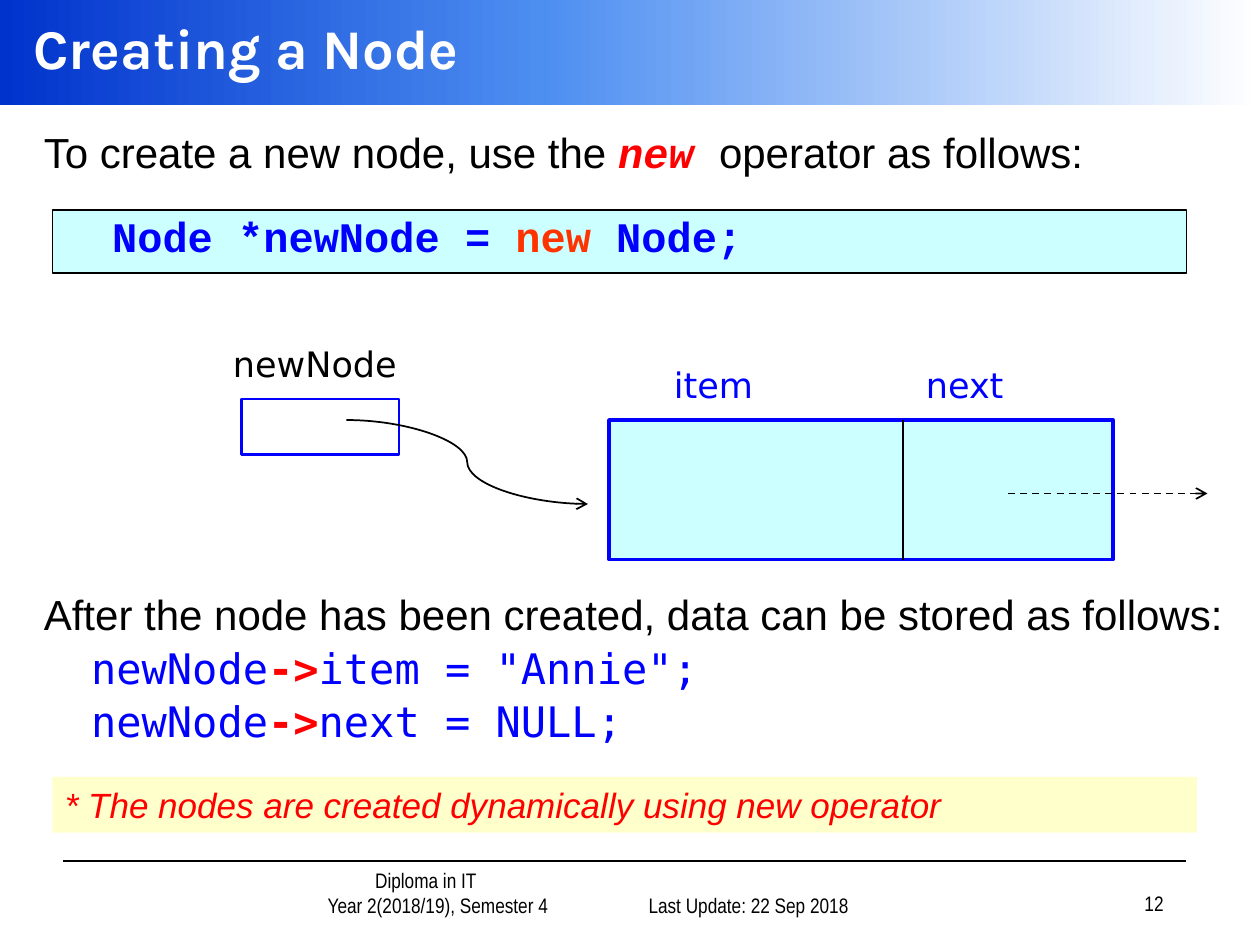
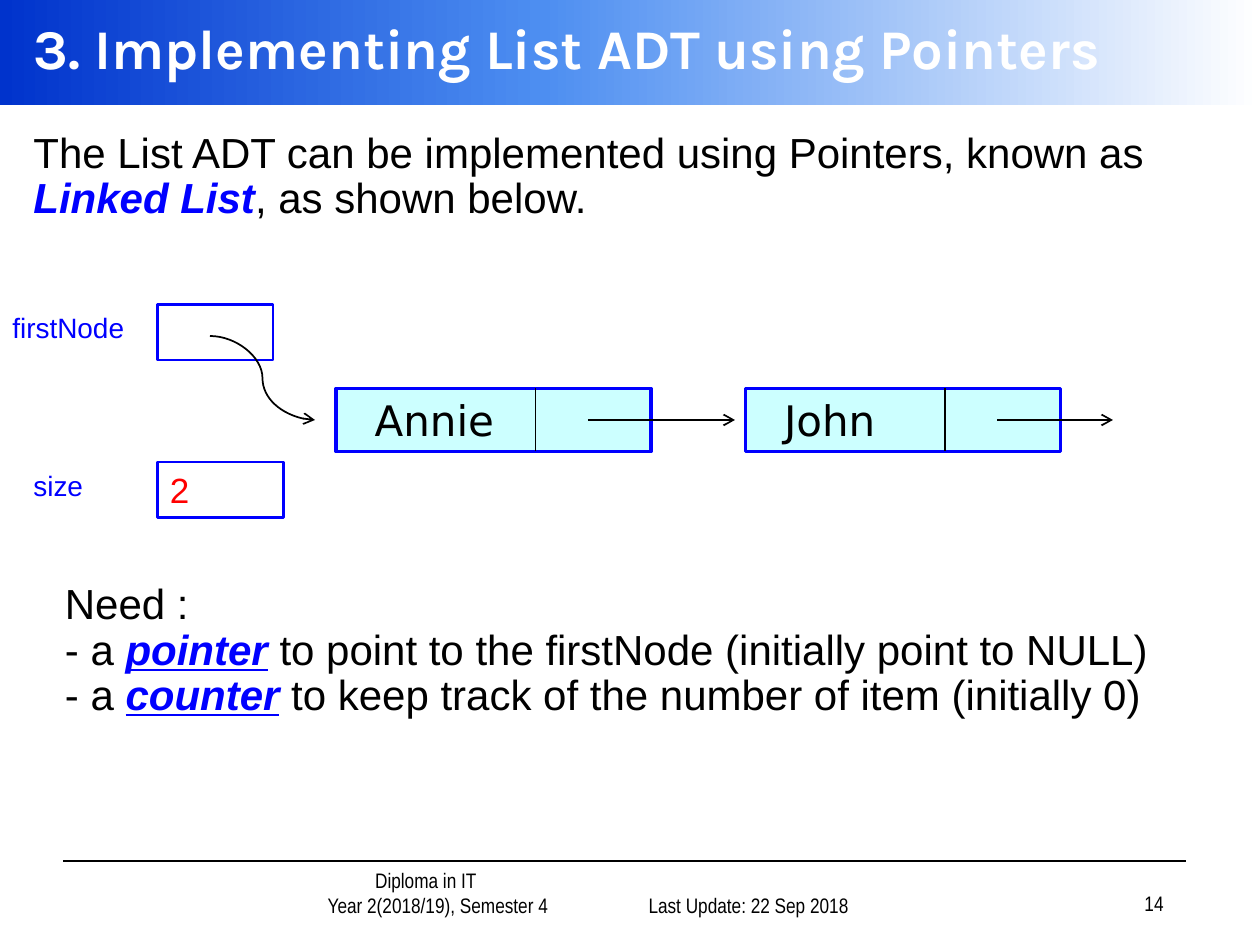
from copy import deepcopy

from lxml import etree
from pptx import Presentation
from pptx.dml.color import RGBColor
from pptx.enum.dml import MSO_LINE
from pptx.enum.shapes import MSO_CONNECTOR, MSO_SHAPE
from pptx.enum.text import MSO_ANCHOR, PP_ALIGN
from pptx.oxml.ns import qn
from pptx.util import Inches, Pt

STRAIGHT, CURVE = MSO_CONNECTOR.STRAIGHT, MSO_CONNECTOR.CURVE
RECTANGLE = MSO_SHAPE.RECTANGLE
DASH = MSO_LINE.DASH
TOP, MIDDLE, BOTTOM = MSO_ANCHOR.TOP, MSO_ANCHOR.MIDDLE, MSO_ANCHOR.BOTTOM
LEFT, CENTER, RIGHT = PP_ALIGN.LEFT, PP_ALIGN.CENTER, PP_ALIGN.RIGHT

BLACK = RGBColor(0x00, 0x00, 0x00)
WHITE = RGBColor(0xFF, 0xFF, 0xFF)
BLUE = RGBColor(0x00, 0x00, 0xFF)
RED = RGBColor(0xFF, 0x00, 0x00)
ORANGE = RGBColor(0xFF, 0x33, 0x00)
CYAN = RGBColor(0xCC, 0xFF, 0xFF)
CREAM = RGBColor(0xFF, 0xFF, 0xCC)
BAND_STOPS = [(0, RGBColor(0x00, 0x33, 0xCC)),
              (0.43, RGBColor(0x4D, 0x8E, 0xF1)),
              (1, WHITE)]

# Grid: 120 columns by 90 rows, one cell is a twelfth of an inch
COLUMNS, ROWS = 120, 90
INDENT = 4.5
BOX_ROWS = 5.3

# Text styles: font, size, colour, and any of bold, italic, underline
TITLE = ("Karla", 32, WHITE, "b")
BODY = ("Arial", 24, BLACK, "")
TERM = ("Arial", 24, BLUE, "bi")
LINKED_TERM = ("Arial", 24, BLUE, "biu")
KEYWORD = ("Courier New", 24, RED, "bi")
CODE = ("Courier New", 24, BLUE, "b")
CODE_NEW = ("Courier New", 24, ORANGE, "b")
MEMBER = ("DejaVu Sans Mono", 24, BLUE, "")
ARROW = ("DejaVu Sans Mono", 24, RED, "b")
FIELD = ("DejaVu Sans", 20, BLUE, "")
POINTER = ("DejaVu Sans", 20, BLACK, "")
ITEM = ("DejaVu Sans", 24, BLACK, "")
VARIABLE = ("Arial", 16, BLUE, "")
COUNT = ("Arial", 20, RED, "")
NOTE = ("Arial", 20, RED, "i")
FOOTER = ("Arial Narrow", 12, BLACK, "")

# Content: a paragraph is a list of (text, style) runs
COURSE = ["Diploma in IT", "Year 2(2018/19), Semester 4"]
UPDATED = "Last Update: 22 Sep 2018"

CREATE_TITLE, CREATE_PAGE = "Creating a Node", "12"
CREATE_INTRO = [[("To create a new node, use the ", BODY), ("new ", KEYWORD),
                 ("operator as follows:", BODY)]]
CREATE_CODE = [[("Node *newNode = ", CODE), ("new", CODE_NEW), (" Node;", CODE)]]
STORE_INTRO = [("After the node has been created, data can be stored as follows:", BODY)]
STORE_CODE = [[("newNode", MEMBER), ("->", ARROW), (rest, MEMBER)]
              for rest in ('item = "Annie";', "next = NULL;")]
CREATE_NOTE = "* The nodes are created dynamically using new operator"
NODE_FIELDS = [("item", 63), ("next", 87)]

LIST_TITLE, LIST_PAGE = "3. Implementing List ADT using Pointers", "14"
LIST_INTRO = [[("The List ADT can be implemented using Pointers, known as ", BODY),
               ("Linked List", TERM), (", as shown below.", BODY)]]
LIST_NODES = [("Annie", 32, 70), ("John", 71, 106)]   # item, column, arrow end
# name, name column, row, box width, value
LIST_VARIABLES = [("firstNode", 0, 29, 11, None), ("size", 2, 44, 12, "2")]
LIST_NEEDS = [[("Need :", BODY)]] + [
    [("- a ", BODY), (term, LINKED_TERM), (purpose, BODY)]
    for term, purpose in (
        ("pointer", " to point to the firstNode (initially point to NULL)"),
        ("counter", " to keep track of the number of item (initially 0)"))]


def grid(*cells):
    return [Inches(cell / 12) for cell in cells]


def write(shape, paragraphs, indents=None, align=LEFT, anchor=TOP, spacing=None, before=0):
    frame = shape.text_frame
    frame.word_wrap = True
    frame.vertical_anchor = anchor
    for index, runs in enumerate(paragraphs):
        paragraph = frame.paragraphs[0] if index == 0 else frame.add_paragraph()
        paragraph.alignment = align
        if spacing:
            paragraph.line_spacing = spacing
        if index:
            paragraph.space_before = Pt(before)
        if indents and indents[index]:
            properties = paragraph._p.get_or_add_pPr()
            properties.set("marL", str(grid(indents[index])[0]))
            properties.set("indent", "0")
        for text, (name, size, color, marks) in runs:
            run = paragraph.add_run()
            run.text = text
            font = run.font
            font.name, font.size, font.color.rgb = name, Pt(size), color
            font.bold, font.italic, font.underline = ("b" in marks, "i" in marks, "u" in marks)


def add_text(slide, place, paragraphs, **layout):
    write(slide.shapes.add_textbox(*grid(*place)), paragraphs, **layout)


def add_label(slide, place, text, style, **layout):
    add_text(slide, place, [[(text, style)]], **layout)


def add_box(slide, place, fill=None, line=None, width=1.5):
    box = slide.shapes.add_shape(RECTANGLE, *grid(*place))
    box.shadow.inherit = False
    if fill is None:
        box.fill.background()
    else:
        box.fill.solid()
        box.fill.fore_color.rgb = fill
    if line is None:
        box.line.fill.background()
    else:
        box.line.color.rgb = line
        box.line.width = Pt(width)
    return box


def add_line(slide, start, end, kind=STRAIGHT, arrow=False, dash=None):
    connector = slide.shapes.add_connector(kind, *grid(*start, *end))
    connector.line.color.rgb = BLACK
    connector.line.width = Pt(1)
    if dash:
        connector.line.dash_style = dash
    if arrow:
        etree.SubElement(connector.line._get_or_add_ln(), qn("a:tailEnd"), type="arrow")
    etree.SubElement(connector._element.spPr, qn("a:effectLst"))


def add_node(slide, column, row, width, height, divider):
    node = add_box(slide, (column, row, width, height), CYAN, BLUE, 2)
    add_line(slide, (column + divider, row), (column + divider, row + height))
    return node


def add_band(slide):
    band = add_box(slide, (0, 0, COLUMNS, 10))
    band.fill.gradient()
    band.fill.gradient_angle = 0
    stops = band.fill.gradient_stops
    first = stops[0]._gs
    first.addnext(deepcopy(first))
    for stop, (position, color) in zip(band.fill.gradient_stops, BAND_STOPS):
        stop.position = position
        stop.color.rgb = color


def add_page(deck, title, number):
    slide = deck.slides.add_slide(deck.slide_layouts[6])
    add_text(slide, (20.16, 83, 34.8, 5), [[(line, FOOTER)] for line in COURSE],
             indents=[6, 8.3], align=CENTER, anchor=BOTTOM)
    add_line(slide, (6, 82), (113, 82))
    add_band(slide)
    for text, column, row in ((UPDATED, 57, 83), (number, 87, 82.8)):
        add_label(slide, (column, row, 25, 5), text, FOOTER, align=RIGHT, anchor=BOTTOM)
    add_label(slide, (2, 0, 118, 9), title, TITLE, anchor=MIDDLE)
    return slide


def build_create_slide(deck):
    slide = add_page(deck, CREATE_TITLE, CREATE_PAGE)
    add_text(slide, (3, 12, 113, 6), CREATE_INTRO, spacing=0.9)
    statement = add_box(slide, (5, 20, 108, 6), CYAN, BLACK, 0.75)
    write(statement, CREATE_CODE, indents=[INDENT], spacing=0.9)

    # New node and the pointer to it
    add_node(slide, 58, 40, 48, 13.3, 28)
    for field, column in NODE_FIELDS:
        add_label(slide, (column, 34, 16, BOX_ROWS), field, FIELD)
    add_line(slide, (96, 47), (115, 47), arrow=True, dash=DASH)
    add_label(slide, (21, 32, 19, BOX_ROWS), "newNode", POINTER)
    add_box(slide, (23, 38, 15, BOX_ROWS), line=BLUE)
    add_line(slide, (33, 40), (56, 48), CURVE, arrow=True)

    # Storing data
    add_text(slide, (3, 56, 115, 16), [STORE_INTRO] + STORE_CODE,
             indents=[0, INDENT, INDENT], spacing=0.9, before=4.8)
    note = add_box(slide, (5, 74, 109, BOX_ROWS), CREAM)
    write(note, [[(CREATE_NOTE, NOTE)]])


def build_list_slide(deck):
    slide = add_page(deck, LIST_TITLE, LIST_PAGE)
    add_text(slide, (2, 12, 116, 11), LIST_INTRO, spacing=0.9)

    # Variables of the list
    for name, column, row, width, value in LIST_VARIABLES:
        add_label(slide, (column, row, 16, 4.4), name, VARIABLE)
        box = add_box(slide, (15, row, width, BOX_ROWS), line=BLUE)
        if value:
            write(box, [[(value, COUNT)]])

    # Chain of nodes
    for item, column, arrow_end in LIST_NODES:
        node = add_node(slide, column, 37, 30, 6, 19)
        write(node, [[(item, ITEM)]], indents=[2.5])
        add_line(slide, (column + 24, 40), (arrow_end, 40), arrow=True)
    add_line(slide, (20, 32), (30, 40), CURVE, arrow=True)

    add_text(slide, (5, 55, 111, 24), LIST_NEEDS, spacing=0.9)


def main():
    deck = Presentation()
    deck.slide_width, deck.slide_height = grid(COLUMNS, ROWS)
    build_create_slide(deck)
    build_list_slide(deck)
    deck.save("out.pptx")


if __name__ == "__main__":
    main()
